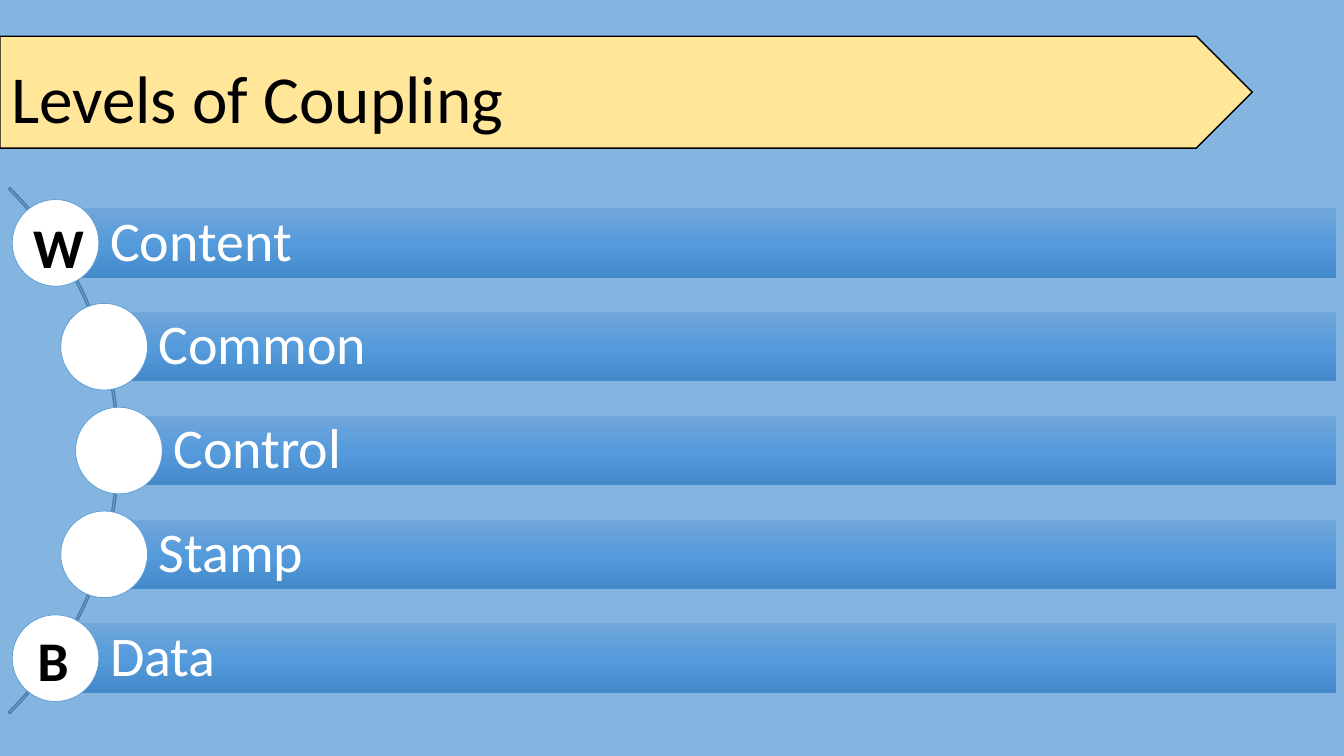
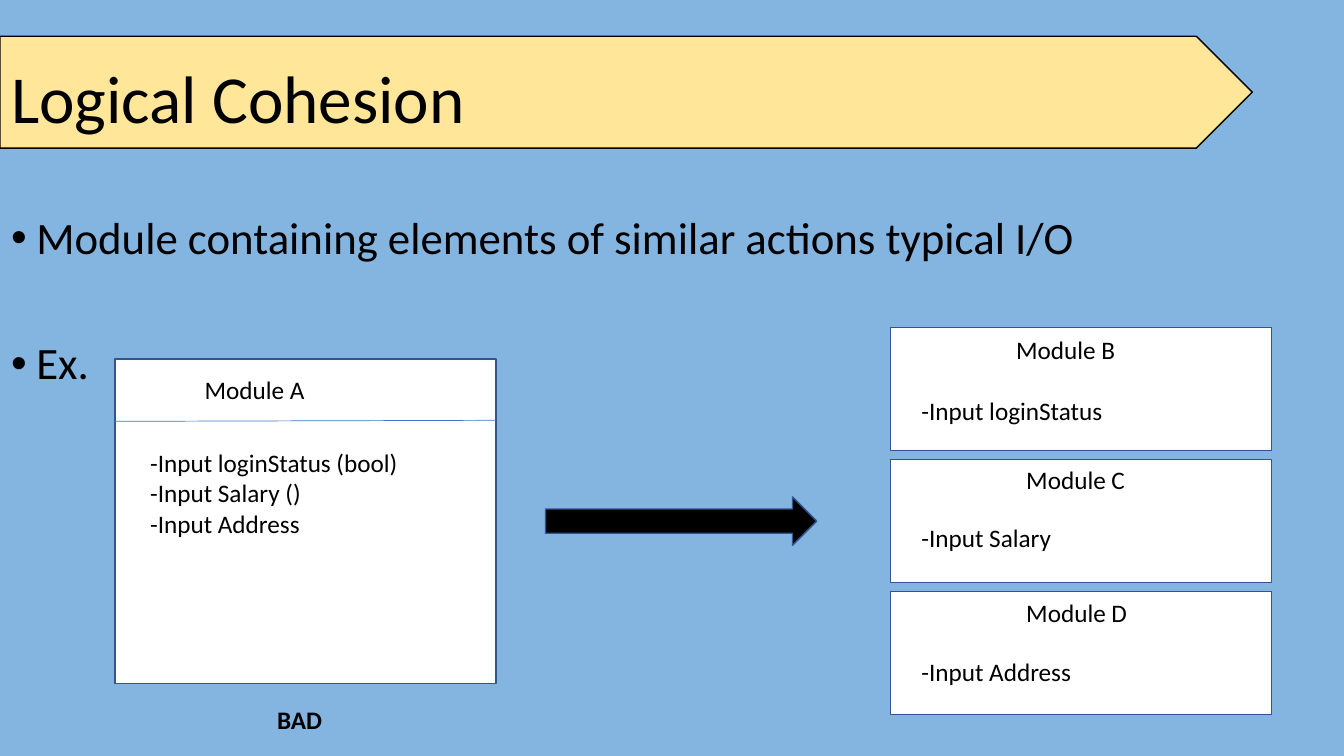
from copy import deepcopy
from dataclasses import dataclass
from math import sqrt
from typing import Any

from pptx import Presentation
from pptx.dml.color import RGBColor
from pptx.enum.shapes import MSO_CONNECTOR as Link, MSO_SHAPE as Kind
from pptx.enum.text import MSO_ANCHOR as Anchor, MSO_AUTO_SIZE as Fit, PP_ALIGN as Align
from pptx.oxml import parse_xml
from pptx.oxml.ns import nsdecls, qn
from pptx.util import Inches, Pt

SKY = RGBColor(0x84, 0xB4, 0xE0)
CREAM = RGBColor(0xFF, 0xE6, 0x99)
BLACK = RGBColor(0, 0, 0)
WHITE = RGBColor(0xFF, 0xFF, 0xFF)
STEEL = RGBColor(0x49, 0x7C, 0xAB)
BLUE = RGBColor(0x5B, 0x9B, 0xD5)
NAVY = RGBColor(0x32, 0x54, 0x91)
ROYAL = RGBColor(0x44, 0x72, 0xC4)
FADE = (
    (0, RGBColor(0x71, 0xA6, 0xDB)),
    (0.5, RGBColor(0x55, 0x9B, 0xDB)),
    (1, RGBColor(0x44, 0x8A, 0xCA)),
)
FONT = "Calibri"


@dataclass(frozen=True)
class Box:
    left: float
    top: float
    width: float
    height: float

    def size(self) -> tuple:
        return tuple(Inches(n) for n in (self.left, self.top, self.width, self.height))


@dataclass(frozen=True)
class Card:
    head: str
    head_left: float
    head_top: float
    item: str
    item_top: float


LEVELS = ("Content", "Common", "Control", "Stamp", "Data")
MARKS = (("W", Box(0.29, 2.06, 0.58, 0.77)), ("B", Box(0.27, 6.16, 0.51, 0.77)))
CARDS = (
    Card("Module B", 9.98, 3.27, "-Input loginStatus", 3.87),
    Card("Module C", 10.08, 4.56, "-Input Salary", 5.13),
    Card("Module D", 10.08, 5.88, "-Input Address", 6.46),
)


def style(item: Any, **form: Any) -> None:
    for name, value in form.items():
        setattr(item, name, value)


def place(item: Any, box: Box) -> None:
    style(item, **dict(zip(("left", "top", "width", "height"), box.size())))


def write(frame: Any, lines: tuple, size: float, color: RGBColor = BLACK,
          bold: bool = False, **form: Any) -> None:
    """Fill the frame, one paragraph a line; form holds paragraph settings."""
    frame.word_wrap = True
    for i, line in enumerate(lines):
        para = frame.paragraphs[0] if i == 0 else frame.add_paragraph()
        style(para, **form)
        run = para.add_run()
        run.text = line
        style(run.font, name=FONT, size=Pt(size), bold=bold)
        run.font.color.rgb = color


def draw(slide: Any, kind: Kind, box: Box, fill: RGBColor | None = None,
         line: RGBColor | None = None, weight: float = 1) -> Any:
    shape = slide.shapes.add_shape(kind, *box.size())
    shape.shadow.inherit = False
    if fill is None:
        shape.fill.background()
    else:
        shape.fill.solid()
        shape.fill.fore_color.rgb = fill
    if line is None:
        shape.line.fill.background()
    else:
        shape.line.color.rgb = line
        shape.line.width = Pt(weight)
    return shape


def label(slide: Any, box: Box, *lines: str, bold: bool = False) -> None:
    write(slide.shapes.add_textbox(*box.size()).text_frame, lines, 18, bold=bold)


def shade(shape: Any) -> None:
    """Give the shape the three-stop fade from top to bottom."""
    shape.fill.gradient()
    shape.fill.gradient_angle = 270
    stops = shape.element.find(".//" + qn("a:gsLst"))
    stops.append(deepcopy(stops[0]))
    for stop, (spot, color) in zip(shape.fill.gradient_stops, FADE):
        stop.position = spot
        stop.color.rgb = color


def brand(deck: Any, slide: Any) -> None:
    """Put the backdrop and the title band on the master, by way of a slide."""
    master = deck.slide_master
    master.background.fill.solid()
    master.background.fill.fore_color.rgb = SKY
    band = draw(slide, Kind.PENTAGON, Box(0, 0.36, 12.42, 1.11), CREAM, BLACK).element
    band.nvSpPr.cNvPr.id = 20
    master.shapes.element.insert(2, band)


def start(deck: Any, layout: int, title: str) -> Any:
    slide = deck.slides.add_slide(deck.slide_layouts[layout])
    head = slide.shapes.title
    place(head, Box(0.01, 0.28, 11.5, 1.45))
    style(head.text_frame, auto_size=Fit.NONE, vertical_anchor=Anchor.MIDDLE)
    write(head.text_frame, (title,), 48, alignment=Align.LEFT, line_spacing=0.9)
    return slide


def levels(slide: Any) -> None:
    """Draw the bars and discs, whose centres follow the arc."""
    mid_x, mid_y, radius = -2.51, 4.47, 3.69
    step, high, disc, end = 1.03, 0.69, 0.86, 13.25
    arc = draw(slide, Kind.BLOCK_ARC,
               Box(mid_x - radius, mid_y - radius, 2 * radius, 2 * radius), line=STEEL)
    for i, value in enumerate((189, 27, 0.003)):
        arc.adjustments[i] = value
    for i, name in enumerate(LEVELS):
        drop = (i - len(LEVELS) // 2) * step
        x, y = mid_x + sqrt(radius**2 - drop**2), mid_y + drop
        bar = draw(slide, Kind.RECTANGLE, Box(x, y - high / 2, end - x, high))
        shade(bar)
        style(bar.text_frame, margin_left=Inches(0.54), margin_right=Inches(0.11),
              vertical_anchor=Anchor.MIDDLE)
        write(bar.text_frame, (name,), 40, WHITE, alignment=Align.LEFT, line_spacing=0.9)
        draw(slide, Kind.OVAL, Box(x - disc / 2, y - disc / 2, disc, disc), WHITE, BLUE, 0.5)
    for mark, box in MARKS:
        frame = slide.shapes.add_textbox(*box.size()).text_frame
        style(frame, margin_left=0, margin_right=0)
        write(frame, (mark,), 40, bold=True, alignment=Align.CENTER)


def points(slide: Any) -> None:
    body = slide.placeholders[1]
    place(body, Box(0.01, 2.09, 13.32, 4.76))
    frame = body.text_frame
    frame.auto_size = Fit.NONE
    write(frame, ("Module containing elements of similar actions typical I/O", "Ex."), 32,
          line_spacing=0.9)
    for para, gap in zip(frame.paragraphs, (10, 55)):
        para.space_before = Pt(gap)
        props = para._p.get_or_add_pPr()
        props.set("marL", str(Inches(0.25)))
        props.set("indent", str(Inches(-0.25)))


def modules(slide: Any) -> None:
    draw(slide, Kind.RECTANGLE, Box(1.14, 3.56, 3.78, 3.22), WHITE, NAVY)
    rule = slide.shapes.add_connector(
        Link.STRAIGHT, *(Inches(n) for n in (1.13, 4.18, 4.92, 4.17)))
    rule.line.color.rgb = ROYAL
    rule.line.width = Pt(0.5)
    rule.element.spPr.append(parse_xml(f"<a:effectLst {nsdecls('a')}/>"))
    label(slide, Box(1.93, 3.66, 2.19, 0.4), "Module A")
    label(slide, Box(1.39, 4.39, 3.21, 1.01),
          "-Input loginStatus (bool)", "-Input Salary ()", "-Input Address")
    label(slide, Box(2.65, 6.94, 0.76, 0.4), "BAD", bold=True)
    draw(slide, Kind.RIGHT_ARROW, Box(5.41, 4.93, 2.69, 0.48), BLACK, NAVY)
    for i, card in enumerate(CARDS):
        draw(slide, Kind.RECTANGLE, Box(8.83, 3.25 + 1.31 * i, 3.78, 1.22), WHITE, NAVY)
        label(slide, Box(card.head_left, card.head_top, 2.19, 0.4), card.head)
        label(slide, Box(9.04, card.item_top, 2.48, 0.4), card.item)


def main() -> None:
    deck = Presentation()
    style(deck, slide_width=Inches(13.33), slide_height=Inches(7.5))
    first = start(deck, 5, "Levels of Coupling")
    brand(deck, first)
    levels(first)
    second = start(deck, 1, "Logical Cohesion")
    points(second)
    modules(second)
    deck.save("out.pptx")


if __name__ == "__main__":
    main()
